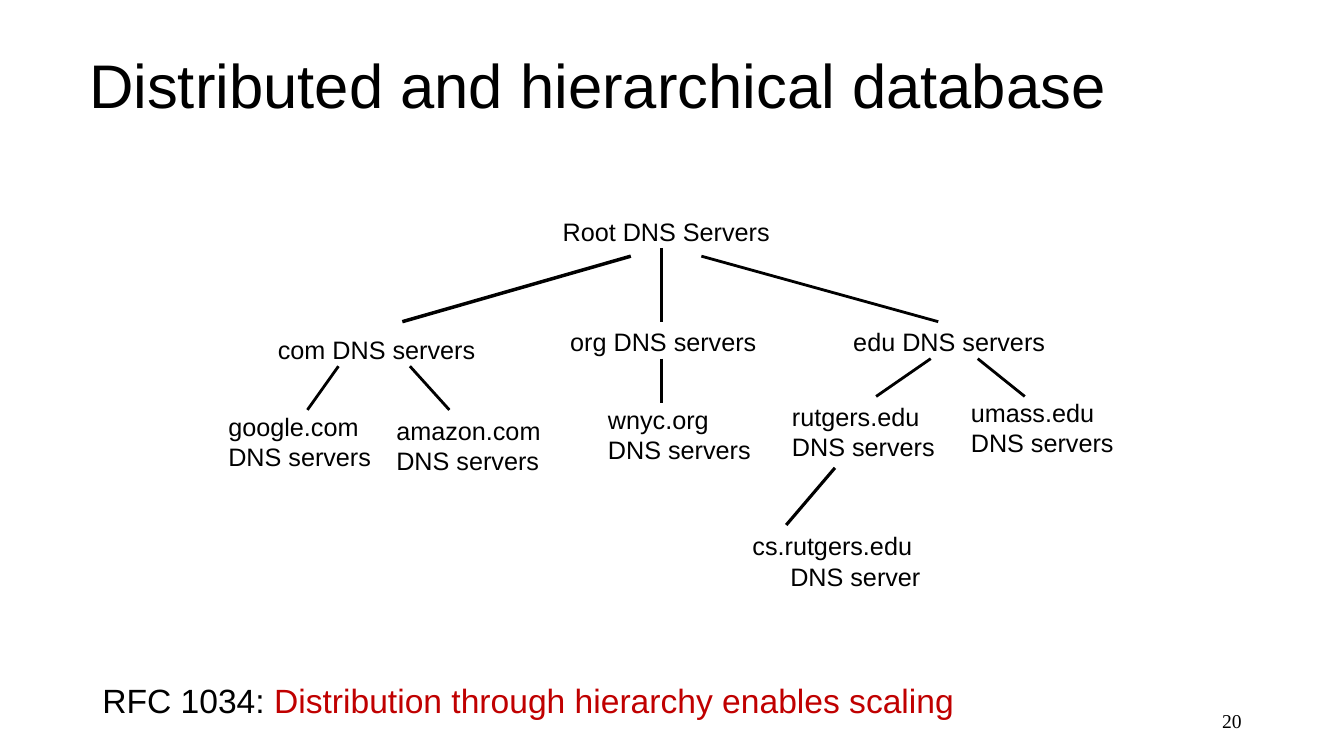
"""Build a slide showing the DNS server hierarchy."""
from typing import NamedTuple, Optional

from lxml.etree import SubElement
from pptx import Presentation
from pptx.dml.color import RGBColor
from pptx.enum.shapes import MSO_CONNECTOR
from pptx.enum.text import MSO_ANCHOR, MSO_AUTO_SIZE, PP_ALIGN
from pptx.oxml.ns import qn
from pptx.slide import Slide
from pptx.text.text import TextFrame
from pptx.util import Inches, Pt

BLACK = RGBColor(0x00, 0x00, 0x00)
RED = RGBColor(0xC0, 0x00, 0x00)
WIDE, HIGH = Inches(13.333), Inches(7.5)
COLS, ROWS = 160, 90


class Box(NamedTuple):
    """Place and size in grid columns and rows."""
    left: float
    top: float
    width: float
    height: float


class Node(NamedTuple):
    """A server label, one paragraph a line unless it hangs."""
    text: str
    box: Box
    hang: float = 0


class Edge(NamedTuple):
    """A line between two grid points."""
    left: float
    top: float
    right: float
    base: float
    weight: float = 2


TITLE = Box(9.4, 3, 136, 15)
NOTE = Box(11, 80.4, 104.9, 6)
NUMBER = Box(113, 83.4, 36, 4.8)

NODES = [
    Node("Root DNS Servers", Box(65.8, 25.2, 27.1, 4.8)),
    Node("com DNS servers", Box(31.9, 39.2, 25.9, 4.8)),
    Node("org DNS servers", Box(66.7, 38.3, 24.6, 4.8)),
    Node("edu DNS servers", Box(100.4, 38.3, 25.2, 4.8)),
    Node("google.com\nDNS servers", Box(26, 48.4, 19.4, 8.4)),
    Node("amazon.com\nDNS servers", Box(46, 48.8, 19.6, 8.4)),
    Node("wnyc.org\nDNS servers", Box(71.2, 47.5, 19.4, 8.4)),
    Node("rutgers.edu\nDNS servers", Box(93.1, 47.2, 19.4, 8.4)),
    Node("umass.edu\nDNS servers", Box(114.4, 46.7, 19.4, 8.4)),
    Node("cs.rutgers.edu\nDNS server", Box(88.4, 62.6, 22.4, 8.4), hang=4.5),
]

EDGES = [
    Edge(75.1, 30.5, 47.9, 38.3, 2.5),
    Edge(78.8, 29.5, 78.8, 38.3),
    Edge(83.5, 30.5, 111.7, 38.3),
    Edge(40.3, 43.6, 36.6, 48.8),
    Edge(48.8, 43.6, 53.5, 48.8),
    Edge(78.8, 42.7, 78.8, 48),
    Edge(110.8, 42.7, 104.3, 47.2),
    Edge(116.4, 42.7, 122, 47.2),
    Edge(99.4, 55.7, 93.6, 62.5, 2.25),
]


def col(count: float) -> int:
    """Turn grid columns into a length."""
    return round(WIDE * count / COLS)


def row(count: float) -> int:
    """Turn grid rows into a length."""
    return round(HIGH * count / ROWS)


def write(frame: TextFrame, text: str, *, size: float = 18,
          color: RGBColor = BLACK, font: str = "Arial",
          align: PP_ALIGN = PP_ALIGN.LEFT, hang: float = 0,
          space: Optional[float] = None) -> None:
    """Append formatted text to the last paragraph of a frame."""
    for spot, line in enumerate(text.split("\n")):
        if spot and hang:
            frame.paragraphs[-1].add_line_break()
        elif spot:
            frame.add_paragraph()
        para = frame.paragraphs[-1]
        para.alignment = align
        if space:
            para.line_spacing = space
        if hang:
            props = para._p.get_or_add_pPr()
            props.set("marL", str(col(hang)))
            props.set("indent", str(-col(hang)))
        run = para.add_run()
        run.text = line
        run.font.size = Pt(size)
        run.font.name = font
        run.font.color.rgb = color


def add_box(slide: Slide, box: Box, wrap: bool = True) -> TextFrame:
    """Add a text box on the grid and return its frame."""
    shape = slide.shapes.add_textbox(col(box.left), row(box.top),
                                     col(box.width), row(box.height))
    frame = shape.text_frame
    frame.word_wrap = wrap
    frame.auto_size = MSO_AUTO_SIZE.SHAPE_TO_FIT_TEXT
    return frame


def add_edge(slide: Slide, edge: Edge) -> None:
    """Draw a plain black line without a shadow."""
    link = slide.shapes.add_connector(
        MSO_CONNECTOR.STRAIGHT, col(edge.left), row(edge.top),
        col(edge.right), row(edge.base))
    link.line.color.rgb = BLACK
    link.line.width = Pt(edge.weight)
    SubElement(link._element.spPr, qn("a:effectLst"))


def add_title(slide: Slide, text: str) -> None:
    """Move and format the title placeholder."""
    title = slide.shapes.title
    title.left, title.top = col(TITLE.left), row(TITLE.top)
    title.width, title.height = col(TITLE.width), row(TITLE.height)
    frame = title.text_frame
    frame.auto_size = MSO_AUTO_SIZE.NONE
    frame.vertical_anchor = MSO_ANCHOR.MIDDLE
    write(frame, text, size=44, space=0.9)


def main() -> None:
    """Build and save the slide."""
    deck = Presentation()
    deck.slide_width, deck.slide_height = WIDE, HIGH
    slide = deck.slides.add_slide(deck.slide_layouts[5])
    add_title(slide, "Distributed and hierarchical database")
    for edge in EDGES:
        add_edge(slide, edge)
    for node in NODES:
        write(add_box(slide, node.box, wrap=False), node.text, hang=node.hang)
    note = add_box(slide, NOTE)
    write(note, "RFC 1034: ", size=24)
    write(note, "Distribution through hierarchy enables scaling",
          size=24, color=RED)
    number = add_box(slide, NUMBER)
    number.auto_size = MSO_AUTO_SIZE.NONE
    number.vertical_anchor = MSO_ANCHOR.MIDDLE
    write(number, "20", size=14, font="Times New Roman",
          align=PP_ALIGN.RIGHT)
    deck.save("out.pptx")


if __name__ == "__main__":
    main()
